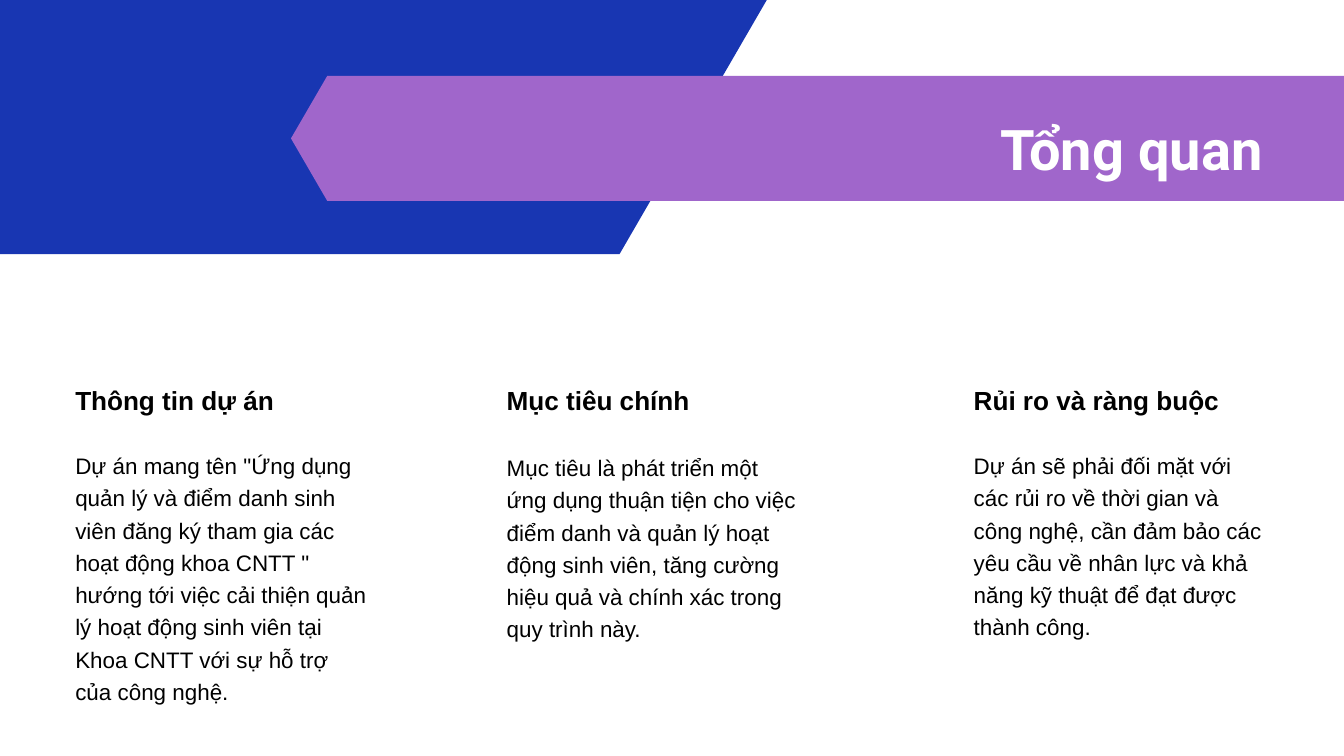
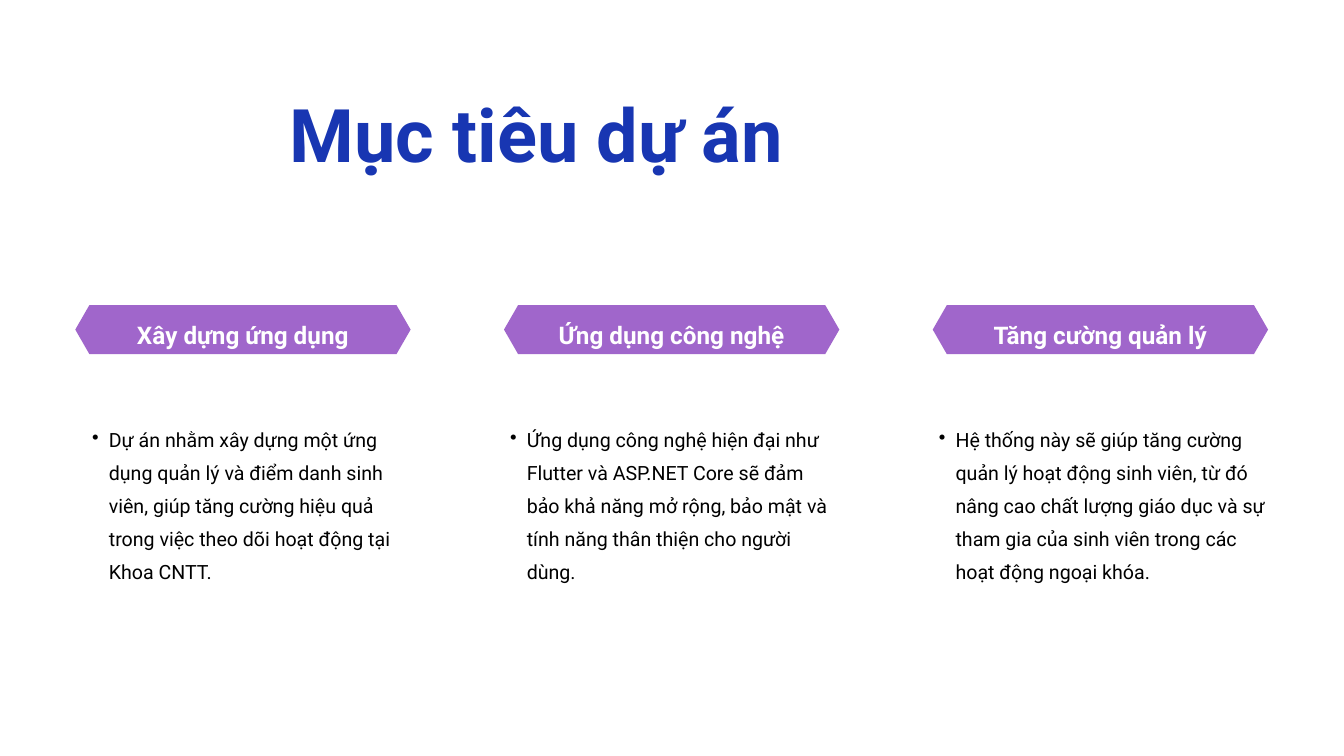
from lxml.etree import SubElement
from pptx import Presentation
from pptx.dml.color import RGBColor
from pptx.enum.text import MSO_AUTO_SIZE as AutoSize, PP_ALIGN as Align
from pptx.oxml.ns import qn
from pptx.util import Inches, Pt

# Content
OVERVIEW_TITLE = "Tổng quan"
OVERVIEW = [  # left, body top, heading, body
    (1.12, 6.65, "Thông tin dự án",
     'Dự án mang tên "Ứng dụng quản lý và điểm danh sinh viên đăng ký tham gia '
     'các hoạt động khoa CNTT " hướng tới việc cải thiện quản lý hoạt động sinh '
     'viên tại Khoa CNTT với sự hỗ trợ của công nghệ.'),
    (7.54, 6.68, "Mục tiêu chính",
     "Mục tiêu là phát triển một ứng dụng thuận tiện cho việc điểm danh và quản lý "
     "hoạt động sinh viên, tăng cường hiệu quả và chính xác trong quy trình này."),
    (14.49, 6.65, "Rủi ro và ràng buộc",
     "Dự án sẽ phải đối mặt với các rủi ro về thời gian và công nghệ, cần đảm bảo "
     "các yêu cầu về nhân lực và khả năng kỹ thuật để đạt được thành công."),
]
GOALS_TITLE = "Mục tiêu dự án"
GOALS = [  # body left, body width, heading, body
    (1.12, 4.99, "Xây dựng ứng dụng",
     "Dự án nhằm xây dựng một ứng dụng quản lý và điểm danh sinh viên, giúp tăng "
     "cường hiệu quả trong việc theo dõi hoạt động tại Khoa CNTT."),
    (7.34, 5.16, "Ứng dụng công nghệ",
     "Ứng dụng công nghệ hiện đại như Flutter và ASP.NET Core sẽ đảm bảo khả năng "
     "mở rộng, bảo mật và tính năng thân thiện cho người dùng."),
    (13.72, 5.16, "Tăng cường quản lý",
     "Hệ thống này sẽ giúp tăng cường quản lý hoạt động sinh viên, từ đó nâng cao "
     "chất lượng giáo dục và sự tham gia của sinh viên trong các hoạt động ngoại khóa."),
]

# Shared style
BLUE = RGBColor(0x18, 0x36, 0xB2)
PURPLE = RGBColor(0xA0, 0x66, 0xCB)
WHITE = RGBColor(0xFF, 0xFF, 0xFF)
BLACK = RGBColor(0, 0, 0)
TITLE = dict(font="Roboto", bold=True, spacing=1.1)
HEADING = dict(font="Arial", size=28, bold=True)
BODY = dict(font="Arial", size=24)
BANNER = dict(font="Roboto", size=26, bold=True, color=WHITE, align=Align.CENTER)
BULLET = dict(font="Roboto", size=21, spacing=1.4, bullet=True)

# Grids
COLUMN_WIDTH = 4.39
MARGIN = 1.12
BANNER_WIDTH, BANNER_STEP, BANNER_INSET = 4.99, 6.38, 0.44


def add_bullet(paragraph):
    properties = paragraph._p.get_or_add_pPr()
    properties.set("marL", str(Inches(0.5)))
    properties.set("indent", str(Inches(-0.25)))
    color = SubElement(properties, qn("a:buClr"))
    SubElement(color, qn("a:srgbClr"), val=str(BLACK))
    SubElement(properties, qn("a:buChar"), char="•")


def add_text(slide, text, left, top, width, height, *, font, size, color=BLACK,
             bold=False, align=Align.LEFT, spacing=1.2, bullet=False):
    box = slide.shapes.add_textbox(*map(Inches, (left, top, width, height)))
    frame = box.text_frame
    frame.word_wrap = True
    frame.auto_size = AutoSize.SHAPE_TO_FIT_TEXT
    frame.margin_left = frame.margin_right = frame.margin_top = frame.margin_bottom = 0
    paragraph = frame.paragraphs[0]
    if bullet:
        add_bullet(paragraph)
    paragraph.alignment = align
    paragraph.line_spacing = spacing
    run = paragraph.add_run()
    run.text = text
    run.font.name = font
    run.font.size = Pt(size)
    run.font.bold = bold
    run.font.color.rgb = color


def add_hexagon(slide, left, top, width, height, point, color):
    """Six-sided band whose left and right points are `point` inches deep."""
    right, middle, bottom = left + width, top + height / 2, top + height
    corners = [(left + point, top), (right - point, top), (right, middle),
               (right - point, bottom), (left + point, bottom), (left, middle)]
    corners = [(Inches(x), Inches(y)) for x, y in corners]
    builder = slide.shapes.build_freeform(*corners[0])
    builder.add_line_segments(corners[1:], close=True)
    shape = builder.convert_to_shape()
    shape.shadow.inherit = False
    shape.fill.solid()
    shape.fill.fore_color.rgb = color
    shape.line.fill.background()


def build_overview(slide):
    # Header bands and title
    add_hexagon(slide, -2.21, -3.78, 13.62, 7.56, 2.19, BLUE)
    add_hexagon(slide, 4.33, 1.13, 16.45, 1.86, 0.54, PURPLE)
    add_text(slide, OVERVIEW_TITLE, 5.28, 1.6, 13.51, 0.96,
             size=60, color=WHITE, align=Align.RIGHT, **TITLE)
    # Three text columns
    for left, body_top, heading, body in OVERVIEW:
        add_text(slide, heading, left, 5.62, COLUMN_WIDTH, 0.46, **HEADING)
        add_text(slide, body, left, body_top, COLUMN_WIDTH, 2.38, **BODY)


def build_goals(slide):
    add_text(slide, GOALS_TITLE, 4.31, 1.18, 10.5, 1.26, size=79.2, color=BLUE, **TITLE)
    # Banner with a bulleted text below it
    for index, (body_left, body_width, heading, body) in enumerate(GOALS):
        left = MARGIN + index * BANNER_STEP
        add_hexagon(slide, left, 4.54, BANNER_WIDTH, 0.73, 0.21, PURPLE)
        add_text(slide, heading, left + BANNER_INSET, 4.68,
                 BANNER_WIDTH - 2 * BANNER_INSET, 0.43, **BANNER)
        add_text(slide, body, body_left, 6.23, body_width, 2.02, **BULLET)


def main():
    presentation = Presentation()
    presentation.slide_width = Inches(20)
    presentation.slide_height = Inches(11.25)
    blank = presentation.slide_layouts[6]
    for build in (build_overview, build_goals):
        build(presentation.slides.add_slide(blank))
    presentation.save("out.pptx")


if __name__ == "__main__":
    main()
